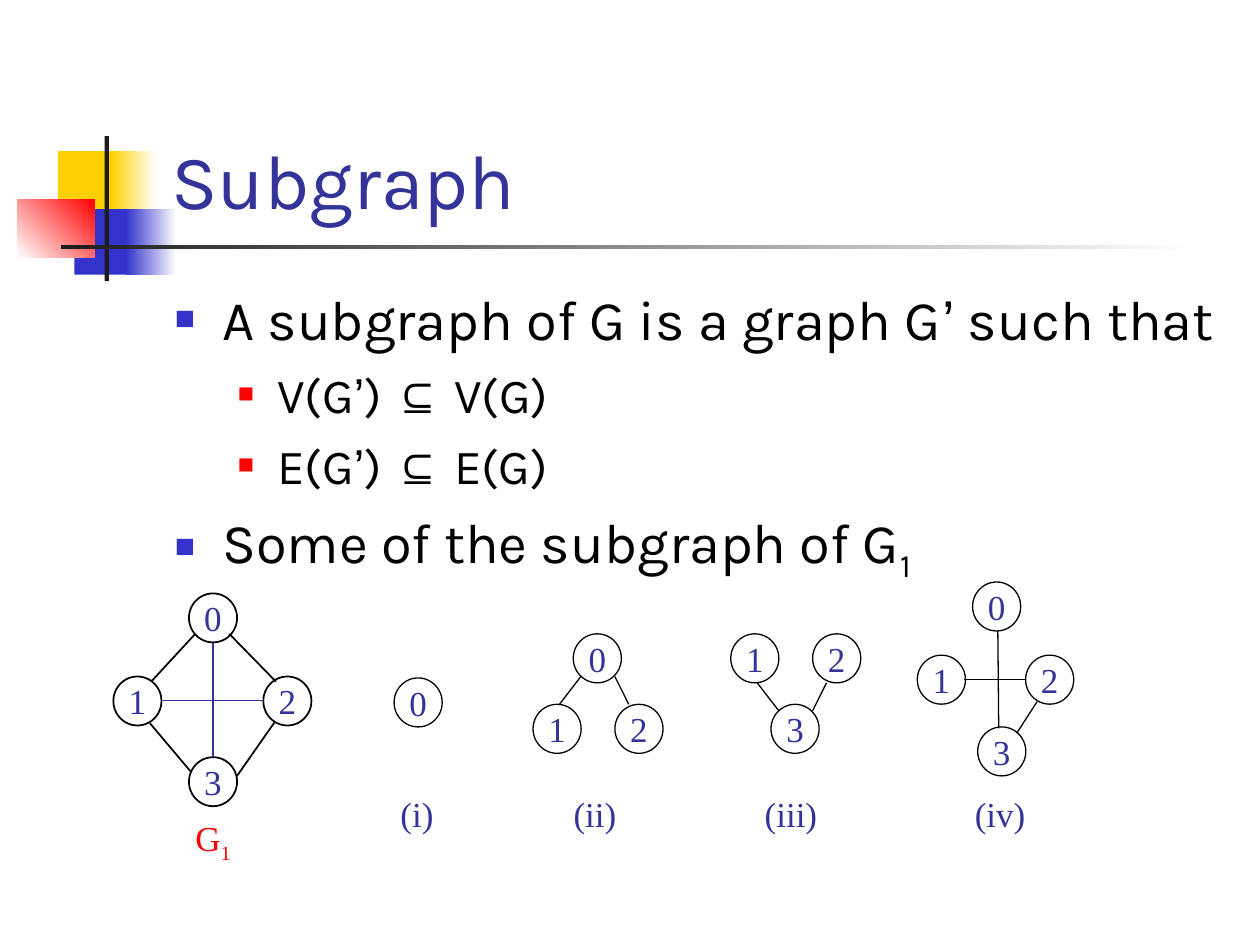
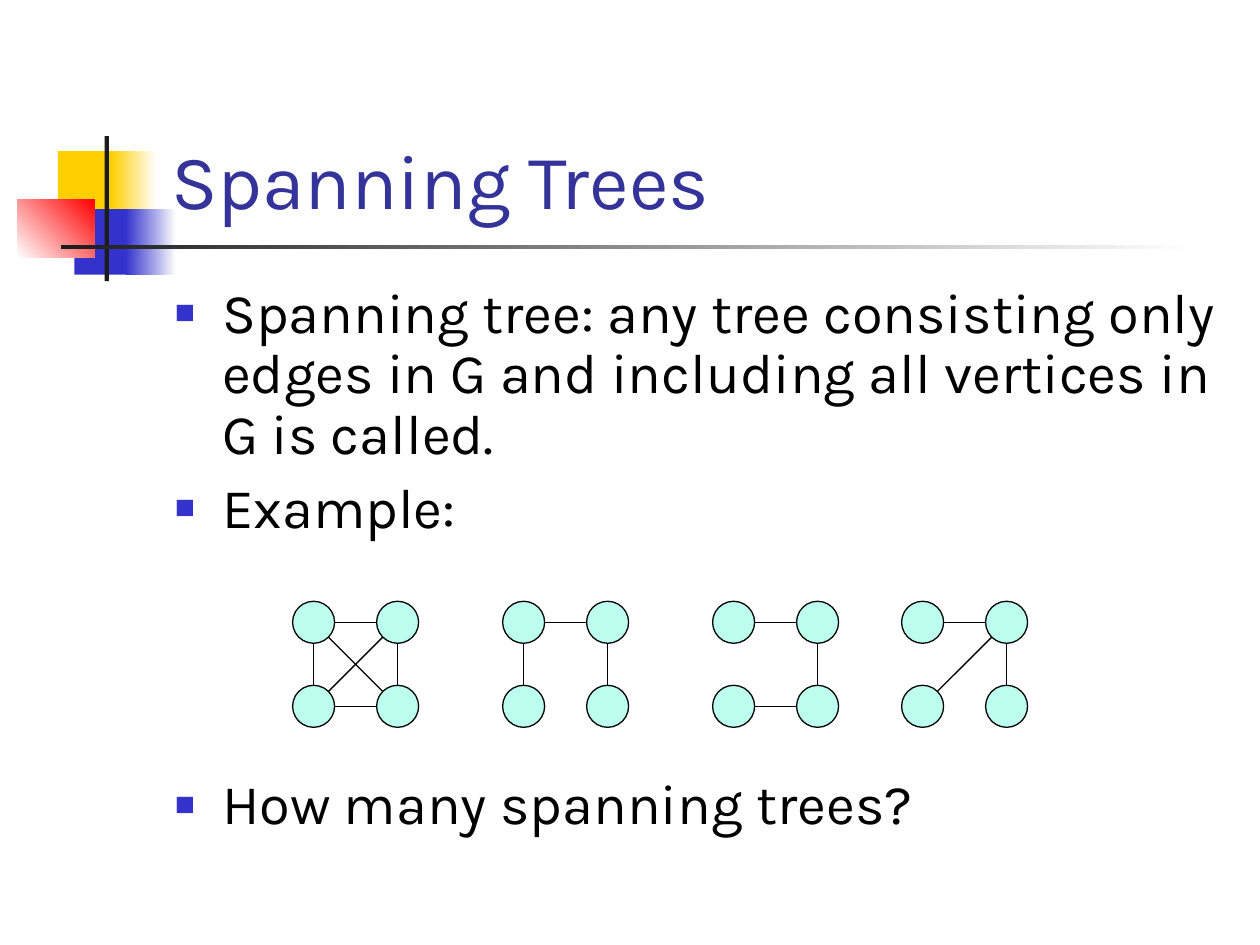
import itertools
import math
from dataclasses import dataclass

import pptx
import pptx.dml.color
import pptx.enum.shapes
import pptx.enum.text
import pptx.oxml.ns
import pptx.util
from lxml import etree

Pt = pptx.util.Pt
SHAPE = pptx.enum.shapes.MSO_SHAPE
ALIGN = pptx.enum.text.PP_ALIGN
ANCHOR = pptx.enum.text.MSO_ANCHOR


def rgb(value):
    return pptx.dml.color.RGBColor.from_string(value)


def put(obj, **values):
    for name, value in values.items():
        setattr(obj, name, value)


@dataclass(frozen=True)
class Theme:
    title: str = "333399"
    text: str = "000000"
    line: str = "000000"
    white: str = "FFFFFF"
    yellow: str = "FFCF01"
    blue: str = "3333CC"
    red: str = "FF0000"
    dark: str = "1C1C1C"
    mint: str = "BDFFEE"
    font: str = "Karla"
    symbol_font: str = "Arial"
    graph_font: str = "Times New Roman"
    title_size: int = 44
    body_size: int = 32
    sub_size: int = 28
    graph_size: int = 20


T = Theme()
SYMBOL = {"font": T.symbol_font}
SUBSCRIPT = {"baseline": -25}

# Bullet levels: left margin, hanging indent, space before, size, colour, bullet percent
LEVELS = [
    (27, 27, 8, T.body_size, T.blue, 60),
    (58.5, 22.5, 7, T.sub_size, T.red, 55),
]


class Deck:
    def __init__(self):
        self.prs = pptx.Presentation()
        put(self.prs, slide_width=Pt(720), slide_height=Pt(540))
        self.s = None

    def slide(self, title):
        """Start a slide with the corner squares, the rule and the title."""
        self.s = self.prs.slides.add_slide(self.prs.slide_layouts[6])
        self.shape((33.1, 86.4, 34.6, 37.4), T.yellow)
        self.shape((63.4, 86.4, 25.9, 37.4), (T.yellow, T.white, 0))
        self.shape((42.5, 119.5, 33.1, 37.4), T.blue)
        self.shape((72, 119.5, 28.8, 37.4), (T.blue, T.white, 0))
        self.shape((10, 113.8, 44, 33.1), (T.white, T.red, 45))
        self.shape((59.8, 77.8, 2.4, 82.8), T.dark)
        self.shape((34.6, 140, 648, 2.6), (T.dark, T.white, 0))
        tf = self.box((90.7, 16.6, 613.4, 115.2))
        tf.vertical_anchor = ANCHOR.BOTTOM
        self.runs(tf.paragraphs[0], [title], T.font, T.title_size, T.title)

    def shape(self, at, fill=None, line=None, kind=SHAPE.RECTANGLE):
        """A preset shape; fill is a colour, a (from, to, angle) gradient or None."""
        sp = self.s.shapes.add_shape(kind, *map(Pt, at))
        sp.shadow.inherit = False
        if fill is None:
            sp.fill.background()
        elif isinstance(fill, str):
            sp.fill.solid()
            sp.fill.fore_color.rgb = rgb(fill)
        else:
            *colours, angle = fill
            sp.fill.gradient()
            sp.fill.gradient_angle = angle
            for stop, colour, position in zip(sp.fill.gradient_stops, colours, (0, 1)):
                stop.color.rgb = rgb(colour)
                stop.position = position
        if line:
            sp.line.color.rgb = rgb(T.line)
            sp.line.width = Pt(line)
        else:
            sp.line.fill.background()
        return sp

    def box(self, at, wrap=True):
        tf = self.s.shapes.add_textbox(*map(Pt, at)).text_frame
        tf.word_wrap = wrap
        return tf

    def runs(self, p, parts, font, size, colour):
        """Add runs; a part is a string or a (string, overrides) pair."""
        for part in parts:
            text, change = (part, {}) if isinstance(part, str) else part
            r = p.add_run()
            r.text = text
            put(r.font, name=change.get("font", font), size=Pt(size))
            r.font.color.rgb = rgb(colour)
            if "baseline" in change:
                r._r.get_or_add_rPr().set("baseline", str(change["baseline"] * 1000))

    def bullets(self, at, items, spacing=None):
        """A bulleted list of (level, parts) items."""
        tf = self.box(at)
        for i, (level, parts) in enumerate(items):
            p = tf.paragraphs[0] if i == 0 else tf.add_paragraph()
            margin, hang, before, size, colour, percent = LEVELS[level]
            put(p, level=level, space_before=Pt(before if i else 0), line_spacing=spacing)
            pPr = p._p.get_or_add_pPr()
            pPr.set("marL", str(Pt(margin)))
            pPr.set("indent", str(-Pt(hang)))
            qn = pptx.oxml.ns.qn
            etree.SubElement(etree.SubElement(pPr, qn("a:buClr")), qn("a:srgbClr"), val=colour)
            etree.SubElement(pPr, qn("a:buSzPct"), val=str(percent * 1000))
            etree.SubElement(pPr, qn("a:buFont"), typeface=T.symbol_font)
            etree.SubElement(pPr, qn("a:buChar"), char="■")
            self.runs(p, parts, T.font, size, T.text)

    def label(self, at, parts, colour=T.title):
        p = self.box(at, wrap=False).paragraphs[0]
        p.alignment = ALIGN.CENTER
        self.runs(p, parts, T.graph_font, T.graph_size, colour)

    def node(self, x, y, text, fill, line):
        """A numbered vertex."""
        sp = self.shape((x, y, 27.5, 28), fill, line, SHAPE.OVAL)
        put(sp.text_frame, word_wrap=False, vertical_anchor=ANCHOR.MIDDLE)
        p = sp.text_frame.paragraphs[0]
        p.alignment = ALIGN.CENTER
        self.runs(p, [text], T.graph_font, T.graph_size, T.title)

    def edge(self, x1, y1, x2, y2, width=0.75, colour=T.line):
        c = self.s.shapes.add_connector(
            pptx.enum.shapes.MSO_CONNECTOR.STRAIGHT, *map(Pt, (x1, y1, x2, y2)))
        c.line.color.rgb = rgb(colour)
        c.line.width = Pt(width)
        etree.SubElement(c._element.spPr, pptx.oxml.ns.qn("a:effectLst"))

    def graph(self, nodes, edges, fill=None, width=0.75):
        for text, (x, y) in nodes.items():
            self.node(x, y, text, fill, width)
        for edge in edges:
            self.edge(*edge[:4], width, *edge[4:])

    def square_graph(self, left, top, edges):
        """Four plain vertices on a square, numbered row by row."""
        size, step = 24, 48
        corners = [(left + col * step, top + row * step)
                   for row, col in itertools.product(range(2), repeat=2)]
        for x, y in corners:
            self.shape((x, y, size, size), T.mint, 0.75, SHAPE.OVAL)
        radius = size / 2
        for a, b in edges:
            (x1, y1), (x2, y2) = [(x + radius, y + radius) for x, y in (corners[a], corners[b])]
            angle = math.atan2(y2 - y1, x2 - x1)
            dx, dy = radius * math.cos(angle), radius * math.sin(angle)
            self.edge(x1 + dx, y1 + dy, x2 - dx, y2 - dy)


def subgraph(deck):
    deck.slide("Subgraph")
    quote, subset = ("’", SYMBOL), ("⊆", SYMBOL)
    deck.bullets((92.9, 159.1, 612, 324), [
        (0, ["A subgraph of G is a graph G", quote, " such that"]),
        (1, ["V(G", quote, ") ", subset, " V(G)"]),
        (1, ["E(G", quote, ") ", subset, " E(G)"]),
        (0, ["Some of the subgraph of G", ("1", SUBSCRIPT)]),
    ])

    # Subgraphs (i) to (iv)
    deck.graph({"0": (225.2, 387.4)}, [])
    deck.graph(
        {"0": (327.6, 362.2), "1": (304.6, 402.5), "2": (351.4, 402.5)},
        [(331.9, 386.6, 319.7, 402.5), (351.4, 386.6, 359.3, 402.5)])
    deck.graph(
        {"3": (440.6, 402.5), "1": (417.6, 362.2), "2": (464.4, 362.2)},
        [(445, 406.1, 432.7, 390.2), (464.4, 406.1, 472.3, 390.2)])
    deck.graph(
        {"0": (555.8, 332.6), "1": (524.2, 374.4), "2": (586.1, 374.4), "3": (558.7, 415.4)},
        [(550.8, 388.1, 586.1, 388.1), (570.2, 360.7, 570.7, 416.2),
         (592.6, 401, 581, 419)])
    for text, centre in (("(i)", 238.3), ("(ii)", 340), ("(iii)", 452), ("(iv)", 571.5)):
        deck.label((centre - 25, 449.3, 50, 30), [text])

    # Full graph
    deck.label((104.4, 463, 34.6, 34.6), ["G", ("1", SUBSCRIPT)], T.red)
    deck.graph(
        {"0": (108, 339.1), "1": (64.8, 386.6), "2": (150.5, 386.6), "3": (108, 432.7)},
        [(121.7, 367.2, 121.7, 432.7, T.title), (92.9, 400.3, 150.5, 400.3, T.title),
         (111.6, 362.2, 86.4, 389.5), (131, 362.2, 157.7, 389.5),
         (85.7, 413.3, 109.4, 441.4), (157, 412.6, 135.4, 443.5)],
        T.white, 1)


def spanning_trees(deck):
    deck.slide("Spanning Trees")
    deck.bullets((92.9, 159.1, 612, 160), [
        (0, ["Spanning tree: any tree consisting only edges in G and including "
             "all vertices in G is called."]),
        (0, ["Example:"]),
    ], 0.9)
    deck.bullets((92.9, 440.2, 612, 42), [(0, ["How many spanning trees?"])], 0.9)

    # Complete graph and three of its spanning trees
    graphs = {
        167.2: list(itertools.combinations(range(4), 2)),
        287.2: [(0, 2), (0, 1), (1, 3)],
        407.2: [(2, 3), (0, 1), (1, 3)],
        515.2: [(0, 1), (1, 3), (2, 1)],
    }
    for left, edges in graphs.items():
        deck.square_graph(left, 343.6, edges)


def main():
    deck = Deck()
    subgraph(deck)
    spanning_trees(deck)
    deck.prs.save("out.pptx")


if __name__ == "__main__":
    main()
